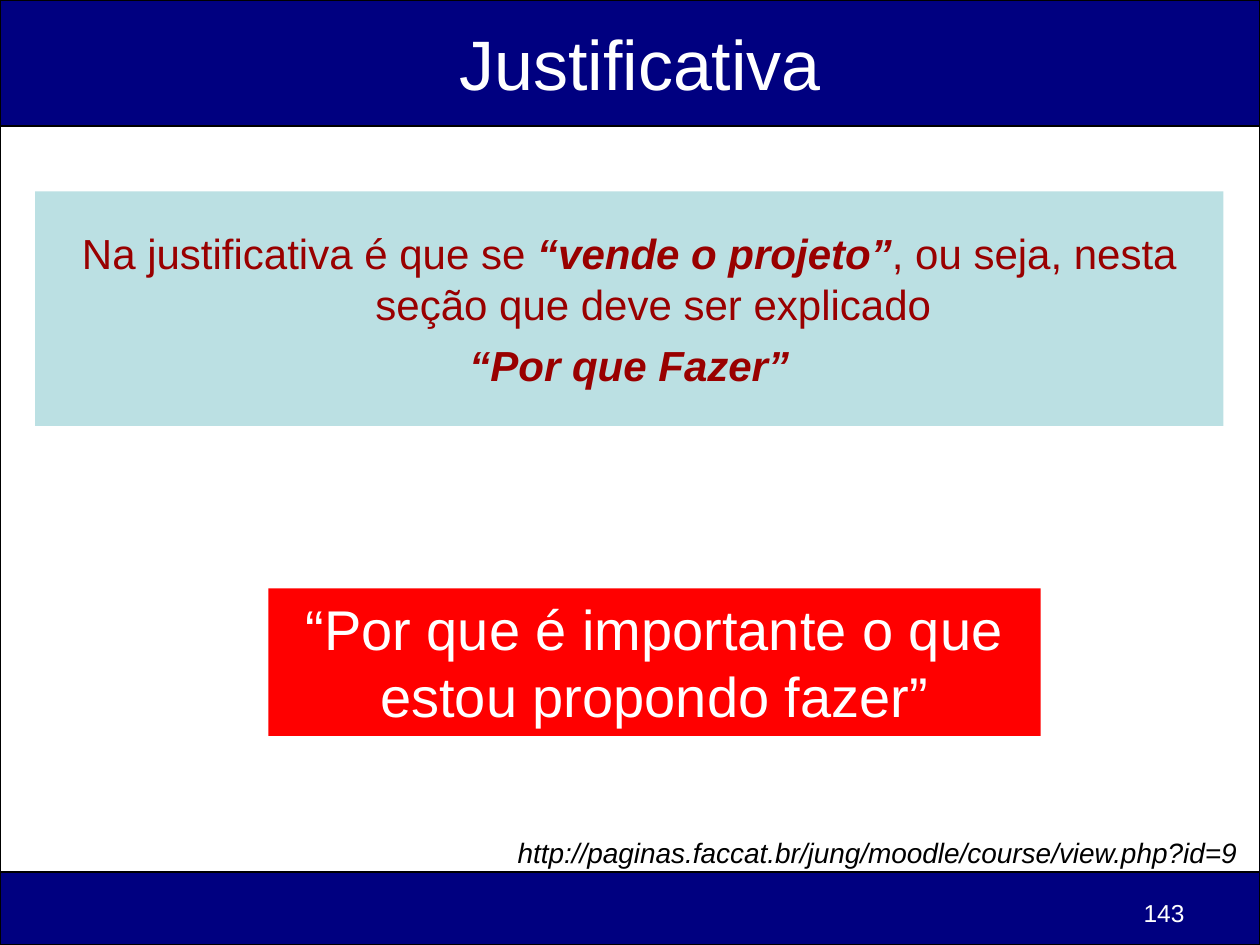
from dataclasses import dataclass
from typing import Optional

from pptx import Presentation
from pptx import util as u
from pptx.dml.color import RGBColor
from pptx.enum import shapes, text

COLORS = {"page": "E4E5FE", "white": "FFFFFF", "navy": "000080", "black": "000000",
          "pale": "BBE0E3", "wine": "990000", "red": "FF0000"}
ALIGN = text.PP_ALIGN


@dataclass
class Span:
    words: str
    strong: bool = False


@dataclass
class Block:
    left: float
    top: float
    width: float
    height: float
    fill: Optional[str] = None
    line: Optional[str] = None


@dataclass
class Style:
    size: int
    color: str
    align: ALIGN = ALIGN.CENTER
    anchor: text.MSO_ANCHOR = text.MSO_ANCHOR.TOP
    italic: bool = False
    wrap: bool = True
    hanging: float = 0


def rgb(name: str) -> RGBColor:
    return RGBColor.from_string(COLORS[name])


def add_block(page, block: Block):
    """Draw a rectangle, or a plain text box when it has no fill."""
    place = [u.Inches(v) for v in (block.left, block.top, block.width, block.height)]
    if block.fill is None:
        return page.shapes.add_textbox(*place)
    box = page.shapes.add_shape(shapes.MSO_SHAPE.RECTANGLE, *place)
    box.shadow.inherit = False
    box.fill.solid()
    box.fill.fore_color.rgb = rgb(block.fill)
    if block.line:
        box.line.color.rgb = rgb(block.line)
        box.line.width = u.Pt(1)
    else:
        box.line.fill.background()
    return box


def write(box, paragraphs: list[list[Span]], style: Style) -> None:
    frame = box.text_frame
    frame.word_wrap = style.wrap
    frame.auto_size = text.MSO_AUTO_SIZE.NONE
    frame.vertical_anchor = style.anchor
    for index, spans in enumerate(paragraphs):
        para = frame.add_paragraph() if index else frame.paragraphs[0]
        para.alignment = style.align
        if index:
            para.space_before = u.Pt(6)
        if style.hanging:
            properties = para._p.get_or_add_pPr()
            properties.set("marL", str(u.Inches(style.hanging)))
            properties.set("indent", str(u.Inches(-style.hanging)))
        para.font.name = "Arial"
        para.font.size = u.Pt(style.size)
        para.font.color.rgb = rgb(style.color)
        para.font.italic = style.italic
        for span in spans:
            run = para.add_run()
            run.text = span.words
            if span.strong:
                run.font.bold = run.font.italic = True


def main() -> None:
    deck = Presentation()
    deck.slide_width, deck.slide_height = u.Inches(10), u.Inches(7.5)
    page = deck.slides.add_slide(deck.slide_layouts[5])
    page.background.fill.solid()
    page.background.fill.fore_color.rgb = rgb("page")

    # Page body, header band and footer band
    for band in (Block(0, 1, 10, 5.92, "white", "black"),
                 Block(0, 0, 10, 1, "navy", "black"),
                 Block(0, 6.92, 10, 0.58, "navy", "black")):
        add_block(page, band)

    # Title, brought in front of the header band
    title = page.shapes.title
    title.left, title.top, title.width, title.height = map(u.Inches, (1.08, 0, 8, 1))
    page.shapes._spTree.append(title._element)
    write(title, [[Span("Justificativa")]],
          Style(40, "white", anchor=text.MSO_ANCHOR.MIDDLE))

    # Explanation
    write(add_block(page, Block(0.28, 1.52, 9.43, 1.86, "pale")),
          [[Span("Na justificativa é que se "), Span("“vende o projeto”", True),
            Span(", ou seja, nesta seção que deve ser explicado")],
           [Span("“Por que Fazer”", True)]],
          Style(24, "wine", anchor=text.MSO_ANCHOR.MIDDLE, hanging=0.38))

    # Key question
    write(add_block(page, Block(2.13, 4.67, 6.13, 1.17, "red")),
          [[Span("“Por que é importante o que estou propondo fazer”")]],
          Style(32, "white"))

    # Source address and page number
    write(add_block(page, Block(4.01, 6.58, 5.92, 0.37)),
          [[Span("http://paginas.faccat.br/jung/moodle/course/view.php?id=9")]],
          Style(16, "black", ALIGN.LEFT, italic=True, wrap=False))
    write(add_block(page, Block(7.17, 7.08, 2.33, 0.27)), [[Span("143")]],
          Style(14, "white", ALIGN.RIGHT))

    deck.save("out.pptx")


if __name__ == "__main__":
    main()
